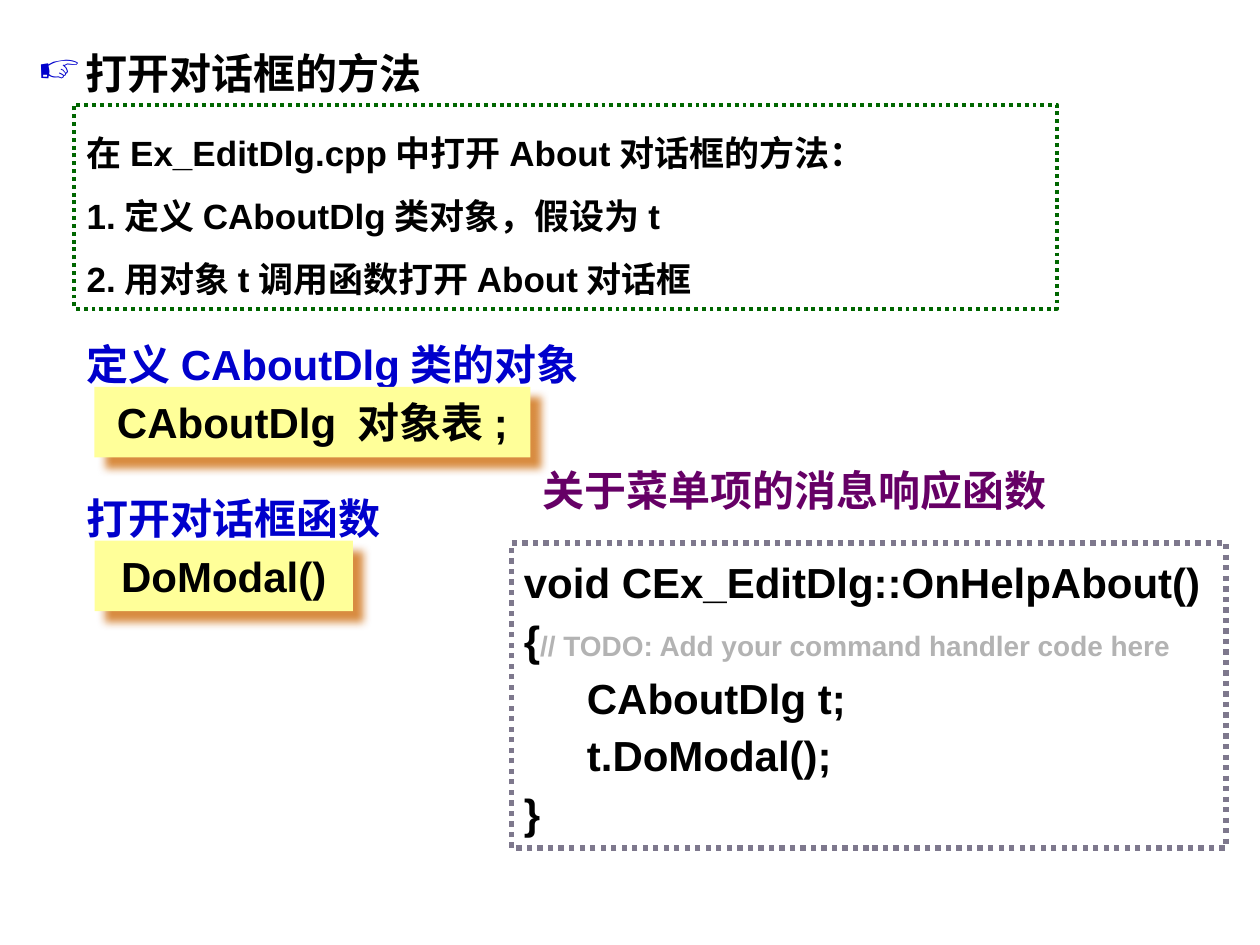
from lxml import etree
from pptx import Presentation
from pptx.dml.color import RGBColor
from pptx.enum.dml import MSO_LINE
from pptx.enum.shapes import MSO_SHAPE
from pptx.enum.text import MSO_ANCHOR, MSO_AUTO_SIZE, PP_ALIGN
from pptx.oxml.ns import qn
from pptx.util import Inches, Pt

LEFT, CENTER = PP_ALIGN.LEFT, PP_ALIGN.CENTER
TOP, MIDDLE = MSO_ANCHOR.TOP, MSO_ANCHOR.MIDDLE
GROW, FIXED = MSO_AUTO_SIZE.SHAPE_TO_FIT_TEXT, MSO_AUTO_SIZE.NONE
RECT, DOTTED = MSO_SHAPE.RECTANGLE, MSO_LINE.ROUND_DOT

BLACK = RGBColor(0x00, 0x00, 0x00)
WHITE = RGBColor(0xFF, 0xFF, 0xFF)
BLUE = RGBColor(0x00, 0x00, 0xCC)
PURPLE = RGBColor(0x66, 0x00, 0x66)
GREEN = RGBColor(0x00, 0x66, 0x00)
GREY = RGBColor(0xB3, 0xB3, 0xB3)
SLATE = RGBColor(0x7E, 0x78, 0x8D)
YELLOW = RGBColor(0xFF, 0xFF, 0x99)
ORANGE = RGBColor(0xCC, 0x66, 0x00)

LATIN, CJK = "Arial", "Noto Sans CJK SC"
MARGINS = (0.1, 0.05)

# Content: each paragraph is a list of (text, size, colour[, font]) runs
TITLE = [[("打开对话框的方法", 24, BLACK)]]
STEPS = [[(line, 20, BLACK)] for line in (
    "在Ex_EditDlg.cpp中打开About对话框的方法：",
    "1.定义CAboutDlg类对象，假设为t",
    "2.用对象t调用函数打开About对话框",
)]
# Top, heading, card width, card runs
CARDS = [
    (2.44, "定义CAboutDlg类的对象", 3.46,
     [("CAboutDlg ", 24, BLACK), ("对象表", 24, BLACK, CJK), (";", 24, BLACK)]),
    (3.66, "打开对话框函数", 2.05, [("DoModal()", 24, BLACK)]),
]
CODE_HEADING = [[("关于菜单项的消息响应函数", 24, PURPLE)]]
CODE = [
    [("void CEx_EditDlg::OnHelpAbout()", 24, BLACK)],
    [("{", 24, BLACK),
     ("// TODO: Add your command handler code here", 16, GREY)],
    [("\tCAboutDlg t;", 24, BLACK)],
    [("\tt.DoModal();", 24, BLACK)],
    [("}", 24, BLACK)],
]


def write(shape, paragraphs, spacing=1.5, align=LEFT, anchor=TOP,
          margins=MARGINS, fit=GROW):
    frame = shape.text_frame
    frame.word_wrap = True
    frame.auto_size = fit
    frame.vertical_anchor = anchor
    frame.margin_left = frame.margin_right = Inches(margins[0])
    frame.margin_top = frame.margin_bottom = Inches(margins[1])
    for i, runs in enumerate(paragraphs):
        para = frame.add_paragraph() if i else frame.paragraphs[0]
        para.alignment = align
        para.line_spacing = spacing
        para.space_before = Pt(0)
        for text, size, color, *font in runs:
            run = para.add_run()
            run.text = text
            run.font.size = Pt(size)
            run.font.bold = True
            run.font.color.rgb = color
            run.font.name = font[0] if font else LATIN
            ea = etree.SubElement(run.font._element, qn("a:ea"))
            ea.set("typeface", CJK)


def add_text(slide, box, paragraphs, **style):
    shape = slide.shapes.add_textbox(*map(Inches, box))
    write(shape, paragraphs, **style)


def add_panel(slide, box, paragraphs, fill=None, line=None, width=0, **style):
    panel = slide.shapes.add_shape(RECT, *map(Inches, box))
    panel.shadow.inherit = False
    if fill is None:
        panel.fill.background()
    else:
        panel.fill.solid()
        panel.fill.fore_color.rgb = fill
    if line is None:
        panel.line.fill.background()
    else:
        panel.line.color.rgb = line
        panel.line.width = Pt(width)
        panel.line.dash_style = DOTTED
    write(panel, paragraphs, **style)
    return panel


def add_shadow(shape, color, alpha, blur, distance, angle):
    effects = shape._element.spPr.find(qn("a:effectLst"))
    shadow = etree.SubElement(
        effects, qn("a:outerShdw"), blurRad=str(Pt(blur)),
        dist=str(Pt(distance)), dir=str(angle * 60000),
        algn="ctr", rotWithShape="0")
    tint = etree.SubElement(shadow, qn("a:srgbClr"), val=str(color))
    etree.SubElement(tint, qn("a:alpha"), val=str(alpha * 1000))


def add_bullet(paragraph, char, color, indent):
    props = paragraph._p.get_or_add_pPr()
    props.set("marL", str(Inches(indent)))
    props.set("indent", str(-Inches(indent)))
    tint = etree.SubElement(props, qn("a:buClr"))
    etree.SubElement(tint, qn("a:srgbClr"), val=str(color))
    etree.SubElement(props, qn("a:buChar"), char=char)


def main():
    prs = Presentation()
    prs.slide_width, prs.slide_height = Inches(10), Inches(7.5)
    slide = prs.slides.add_slide(prs.slide_layouts[5])

    # Title with a pointing hand
    title = slide.shapes.title
    title.left, title.top = Inches(0.2), Inches(0.13)
    title.width, title.height = Inches(4.33), Inches(0.71)
    add_bullet(title.text_frame.paragraphs[0], "☞", BLUE, 0.38)
    write(title, TITLE)

    # Headings, each with its card directly below
    for top, heading, width, runs in CARDS:
        add_text(slide, (0.59, top, 4.9, 0.63), [[(heading, 24, BLUE)]])
        card = add_panel(slide, (0.75, top + 0.63, width, 0.56), [runs],
                         fill=YELLOW, spacing=1.0, align=CENTER,
                         anchor=MIDDLE, margins=(0.02, 0.01), fit=FIXED)
        add_shadow(card, ORANGE, 75, 5, 8.5, 45)

    # Code panel, steps panel and code heading
    add_panel(slide, (4.06, 4.31, 5.67, 2.42), CODE, fill=WHITE,
              line=SLATE, width=3, spacing=Pt(33))
    add_panel(slide, (0.59, 0.83, 7.8, 1.62), STEPS, line=GREEN, width=2.25)
    add_text(slide, (4.21, 3.64, 4.72, 0.5), CODE_HEADING, spacing=1.0)

    prs.save("out.pptx")


if __name__ == "__main__":
    main()
